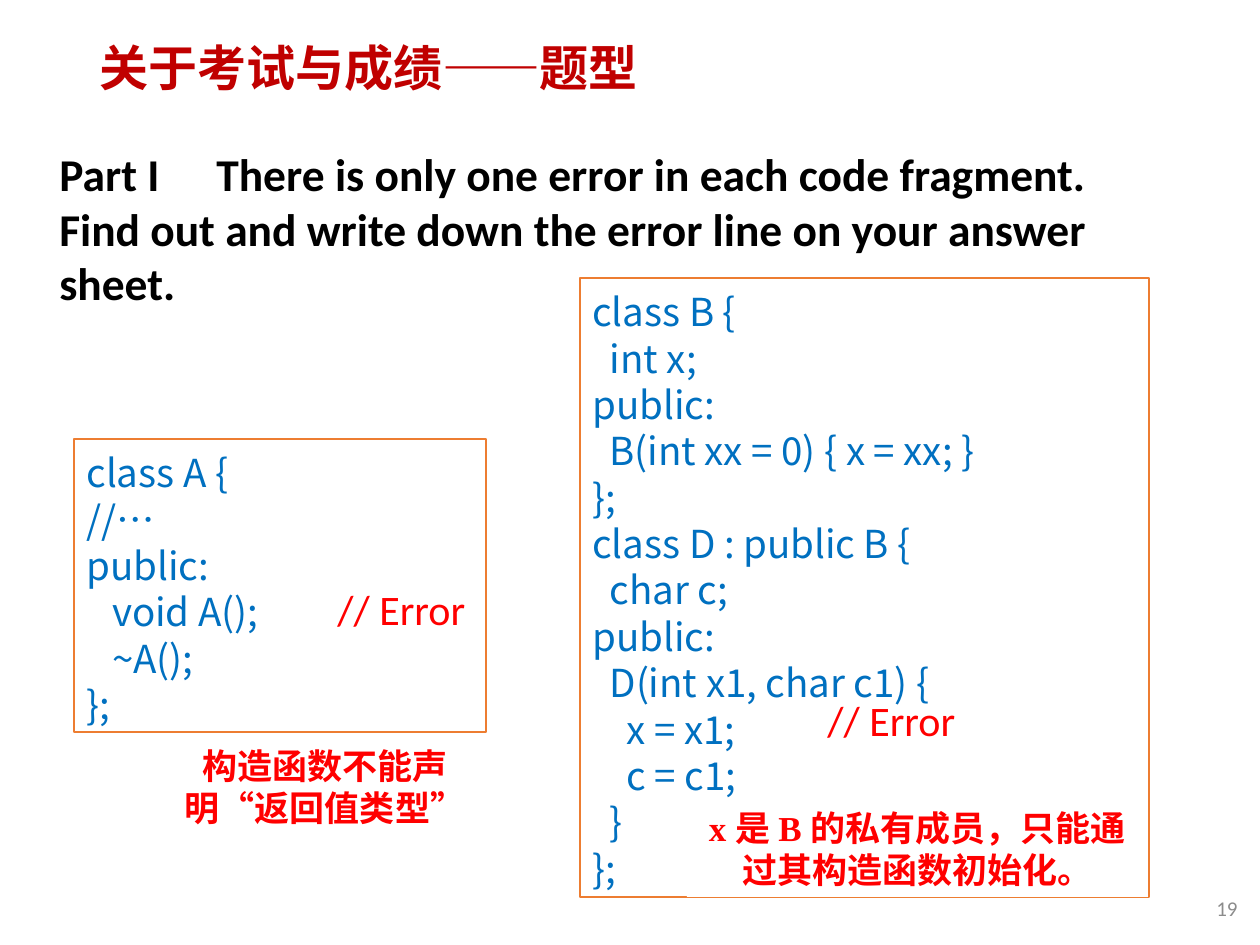
from lxml import etree
from pptx import Presentation
from pptx.dml.color import RGBColor
from pptx.enum.shapes import MSO_SHAPE as Kind
from pptx.enum.text import MSO_ANCHOR as Anchor, PP_ALIGN as Align
from pptx.oxml.ns import qn
from pptx.util import Emu, Pt

SCALE = 914400 // 126
INK = {
    "title": "C00000",
    "text": "000000",
    "code": "0070C0",
    "error": "FF0000",
    "edge": "ED7D31",
    "paper": "FFFFFF",
    "page": "8C8C8C",
}
CODE_A = """class A {
//…
public:
   void A();
   ~A();
};"""
CODE_B = """class B {
  int x;
public:
  B(int xx = 0) { x = xx; }
};
class D : public B {
  char c;
public:
  D(int x1, char c1) {
    x = x1;
    c = c1;
  }
};"""
TASK = ("Part I\tThere is only one error in each code fragment. "
        "Find out and write down the error line on your answer sheet.")


def px(n):
    return Emu(n * SCALE)


def color(name):
    return RGBColor.from_string(INK[name])


def write(frame, text, size, ink, font="Calibri", bold=False,
          align=Align.LEFT, space=None, tab=None):
    frame.word_wrap = True
    for i, line in enumerate(text.split("\n")):
        para = frame.paragraphs[0] if i == 0 else frame.add_paragraph()
        para.alignment = align
        if space:
            para.line_spacing = space
        if tab:
            stops = etree.SubElement(para._p.get_or_add_pPr(), qn("a:tabLst"))
            etree.SubElement(stops, qn("a:tab"), pos=str(px(tab)), algn="l")
        run = para.add_run()
        run.text = line
        run.font.name = font
        run.font.size = Pt(size)
        run.font.bold = bold
        run.font.color.rgb = color(ink)


def add_title(slide, text, box):
    title = slide.shapes.title
    title.left, title.top, title.width, title.height = map(px, box)
    title.text_frame.vertical_anchor = Anchor.MIDDLE
    write(title.text_frame, text, 28, "title", bold=True, space=0.9)


def add_label(slide, text, box, size, ink, anchor=Anchor.TOP, **style):
    label = slide.shapes.add_textbox(*map(px, box))
    label.text_frame.vertical_anchor = anchor
    write(label.text_frame, text, size, ink, **style)


def add_panel(slide, box, edge=None):
    panel = slide.shapes.add_shape(Kind.RECTANGLE, *map(px, box))
    panel.shadow.inherit = False
    panel.fill.solid()
    panel.fill.fore_color.rgb = color("paper")
    if edge:
        panel.line.color.rgb = color(edge)
        panel.line.width = Pt(1)
    else:
        panel.line.fill.background()
    panel.text_frame.vertical_anchor = Anchor.TOP
    return panel.text_frame


def add_code(slide, text, box):
    frame = add_panel(slide, box, "edge")
    frame.margin_top = px(10)
    frame.margin_bottom = 0
    write(frame, text, 22, "code", font="Noto Sans CJK SC",
          align=Align.JUSTIFY, space=Pt(26.5))


def add_note(slide, text, box):
    write(add_panel(slide, box), text, 20, "error",
          font="Times New Roman", bold=True, align=Align.CENTER)


def main():
    deck = Presentation()
    deck.slide_width, deck.slide_height = px(1260), px(945)
    slide = deck.slides.add_slide(deck.slide_layouts[5])
    add_title(slide, "关于考试与成绩——题型", (87, 28, 1086, 86))
    add_label(slide, TASK, (47, 140, 1102, 178), 26, "text",
              bold=True, tab=157)
    add_code(slide, CODE_A, (74, 439, 412, 293))
    add_code(slide, CODE_B, (580, 278, 569, 619))
    add_note(slide, "构造函数不能声明“返回值类型”", (145, 738, 360, 97))
    add_note(slide, "x 是 B 的私有成员，只能通过其构造函数初始化。",
             (687, 800, 461, 97))
    for left, top in ((325, 577), (815, 688)):
        add_label(slide, "// Error", (left, top, 174, 64), 24, "error")
    add_label(slide, "19", (1173, 883, 77, 50), 12, "page",
              anchor=Anchor.MIDDLE, align=Align.RIGHT)
    deck.save("out.pptx")


if __name__ == "__main__":
    main()
